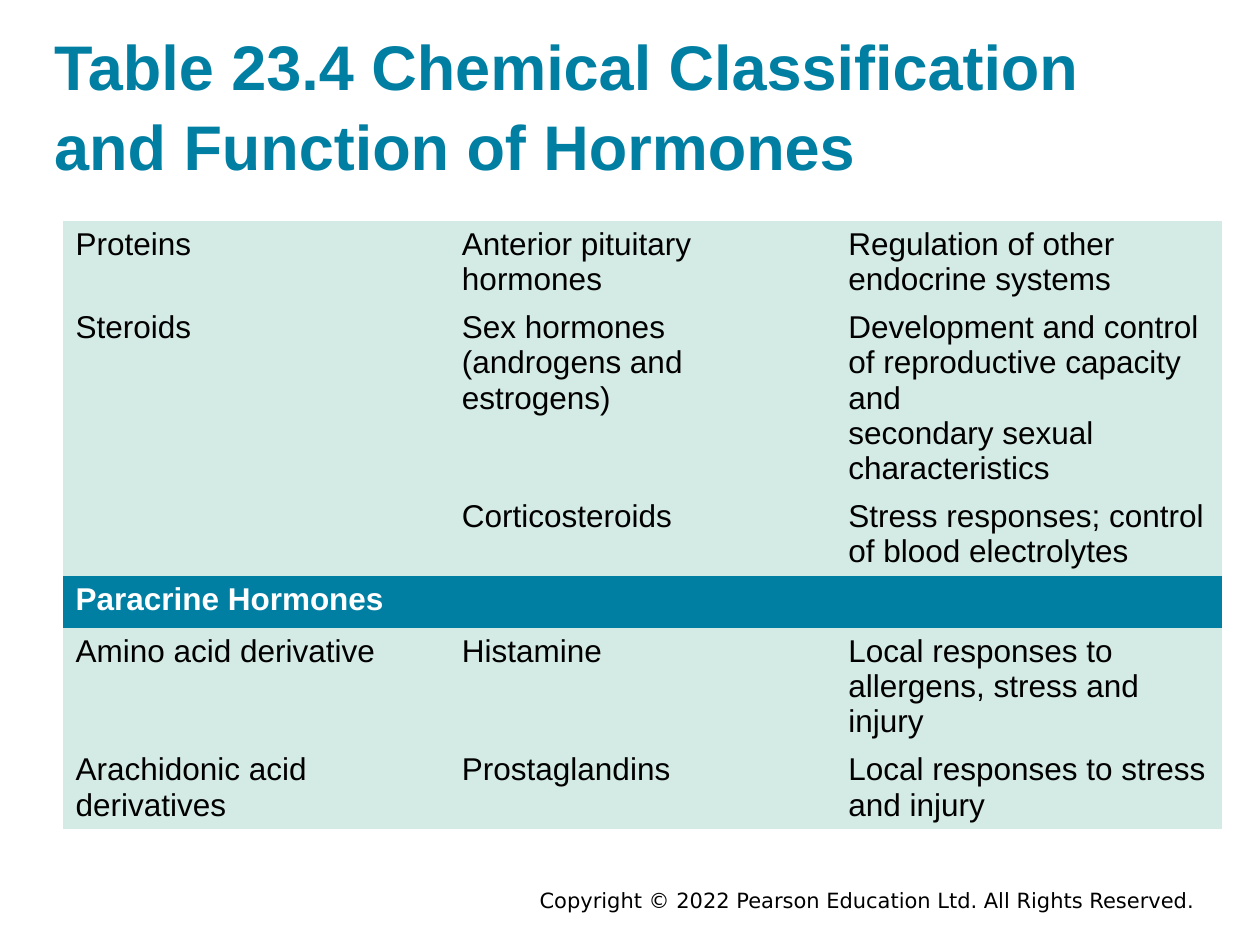
from pptx import Presentation
from pptx.dml.color import RGBColor as Rgb
from pptx.enum.text import MSO_ANCHOR as Anchor, MSO_AUTO_SIZE as AutoSize, PP_ALIGN as Align
from pptx.util import Inches, Pt

COLORS = {"teal": "007FA3", "mint": "D4EAE4", "black": "000000", "white": "FFFFFF"}
NO_STYLE_NO_GRID = "{2D5ABB26-0587-4C30-8999-92F81FD0307C}"
SECTION = "Paracrine Hormones"
ROWS = [
    ("Proteins", "Anterior pituitary hormones", "Regulation of other endocrine systems"),
    ("Steroids", "Sex hormones (androgens and estrogens)",
     "Development and control of reproductive capacity and\nsecondary sexual characteristics"),
    ("", "Corticosteroids", "Stress responses; control of blood electrolytes"),
    (SECTION, "", ""),
    ("Amino acid derivative", "Histamine", "Local responses to allergens, stress and injury"),
    ("Arachidonic acid derivatives", "Prostaglandins", "Local responses to stress and injury"),
]


def style(para, size, color, bold=False, name="Arial"):
    para.font.name = name
    para.font.size = Pt(size)
    para.font.bold = bold
    para.font.color.rgb = Rgb.from_string(COLORS[color])


deck = Presentation()
deck.slide_width, deck.slide_height = Inches(10), Inches(7.5)
page = deck.slides.add_slide(deck.slide_layouts[5])

# Title
title = page.shapes.title
title.left, title.top = Inches(0.43), Inches(0.22)
title.width, title.height = Inches(9), Inches(1.2)
frame = title.text_frame
frame.margin_left = frame.margin_right = frame.margin_top = frame.margin_bottom = 0
frame.vertical_anchor = Anchor.MIDDLE
frame.auto_size = AutoSize.NONE
frame.word_wrap = True
frame.text = "Table 23.4 Chemical Classification and Function of Hormones"
heading = frame.paragraphs[0]
heading.alignment = Align.LEFT
heading.line_spacing = 1.05
style(heading, 36, "teal", bold=True)

# Hormone table
holder = page.shapes.add_table(len(ROWS), 3, Inches(0.5), Inches(1.75),
                               Inches(9.2), Inches(0.41 * len(ROWS)))
table = holder.table
table.first_row = table.horz_banding = False
table._tbl.tblPr.find("{*}tableStyleId").text = NO_STYLE_NO_GRID
for row, texts in zip(table.rows, ROWS):
    is_section = texts[0] == SECTION
    for cell, text in zip(row.cells, texts):
        cell.fill.solid()
        cell.fill.fore_color.rgb = Rgb.from_string(COLORS["teal" if is_section else "mint"])
        cell.text = text
        for para in cell.text_frame.paragraphs:
            style(para, 18, "white" if is_section else "black", bold=is_section)

# Copyright line
box = page.shapes.add_textbox(Inches(1.75), Inches(7.03), Inches(7.83), Inches(0.22))
box.text_frame.word_wrap = True
box.text_frame.vertical_anchor = Anchor.MIDDLE
box.text_frame.text = "Copyright © 2022 Pearson Education Ltd. All Rights Reserved."
notice = box.text_frame.paragraphs[0]
notice.alignment = Align.RIGHT
style(notice, 12, "black", name="DejaVu Sans")

deck.save("out.pptx")
